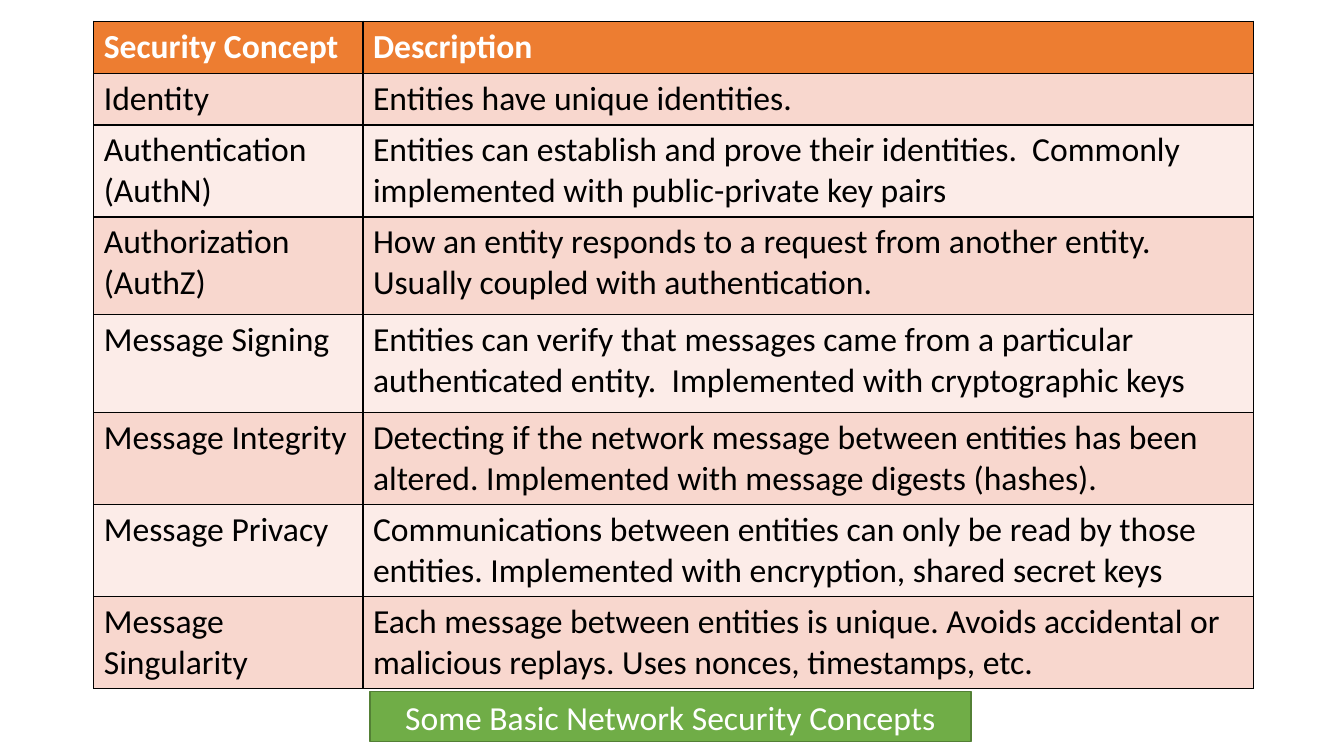
from lxml.etree import SubElement
from pptx import Presentation
from pptx.dml.color import RGBColor
from pptx.enum.shapes import MSO_SHAPE
from pptx.enum.text import MSO_ANCHOR, PP_ALIGN
from pptx.oxml.ns import qn
from pptx.util import Inches, Pt

HEADER = ("Security Concept", "Description")
CONCEPTS = [
    ("Identity", "Entities have unique identities."),
    ("Authentication (AuthN)",
     "Entities can establish and prove their identities.  Commonly implemented with public-private key pairs"),
    ("Authorization (AuthZ)",
     "How an entity responds to a request from another entity. Usually coupled with authentication."),
    ("Message Signing",
     "Entities can verify that messages came from a particular authenticated entity.  "
     "Implemented with cryptographic keys"),
    ("Message Integrity",
     "Detecting if the network message between entities has been altered. "
     "Implemented with message digests (hashes)."),
    ("Message Privacy",
     "Communications between entities can only be read by those entities. "
     "Implemented with encryption, shared secret keys"),
    ("Message Singularity",
     "Each message between entities is unique. Avoids accidental or malicious replays. "
     "Uses nonces, timestamps, etc."),
]
CAPTION = "Some Basic Network Security Concepts"

COLUMN_WIDTHS = (2.67, 8.83)
ROW_HEIGHTS = (0.52, 0.51, 0.91, 0.97, 0.97, 0.91, 0.91, 0.91)
ORANGE, GREEN, DARK_GREEN = "ED7D31", "70AD47", "538035"
BANDS = ("F8D7CE", "FCECE8")
WHITE, BLACK = "FFFFFF", "000000"


def paint(fill, color):
    fill.solid()
    fill.fore_color.rgb = RGBColor.from_string(color)


def write(frame, text, color, bold=False):
    frame.text = text
    font = frame.paragraphs[0].runs[0].font
    font.name, font.size, font.bold = "Calibri", Pt(24), bold
    font.color.rgb = RGBColor.from_string(color)


def add_borders(cell):
    """Outline a cell; call before filling it, as the schema wants lines first."""
    properties = cell._tc.get_or_add_tcPr()
    for side in ("lnL", "lnR", "lnT", "lnB"):
        line = SubElement(properties, qn(f"a:{side}"), w=str(Pt(1)))
        solid = SubElement(line, qn("a:solidFill"))
        SubElement(solid, qn("a:srgbClr"), val=BLACK)


def add_concept_table(page):
    rows = [HEADER, *CONCEPTS]
    table = page.shapes.add_table(
        len(rows), len(HEADER), Inches(0.93), Inches(0.21),
        Inches(sum(COLUMN_WIDTHS)), Inches(sum(ROW_HEIGHTS))).table
    for column, width in zip(table.columns, COLUMN_WIDTHS):
        column.width = Inches(width)
    for index, (texts, height) in enumerate(zip(rows, ROW_HEIGHTS)):
        is_header = index == 0
        table.rows[index].height = Inches(height)
        for cell, text in zip(table.rows[index].cells, texts):
            write(cell.text_frame, text, WHITE if is_header else BLACK, is_header)
            add_borders(cell)
            paint(cell.fill, ORANGE if is_header else BANDS[(index - 1) % 2])


def add_caption(page):
    box = page.shapes.add_shape(
        MSO_SHAPE.RECTANGLE, Inches(3.67), Inches(6.86), Inches(5.96), Inches(0.5))
    box.shadow.inherit = False
    paint(box.fill, GREEN)
    paint(box.line.fill, DARK_GREEN)
    box.line.width = Pt(1)
    frame = box.text_frame
    frame.word_wrap = True
    frame.vertical_anchor = MSO_ANCHOR.MIDDLE
    write(frame, CAPTION, WHITE)
    frame.paragraphs[0].alignment = PP_ALIGN.CENTER


def main():
    deck = Presentation()
    deck.slide_width, deck.slide_height = Inches(13.33), Inches(7.5)
    page = deck.slides.add_slide(deck.slide_layouts.get_by_name("Blank"))
    add_concept_table(page)
    add_caption(page)
    deck.save("out.pptx")


if __name__ == "__main__":
    main()
